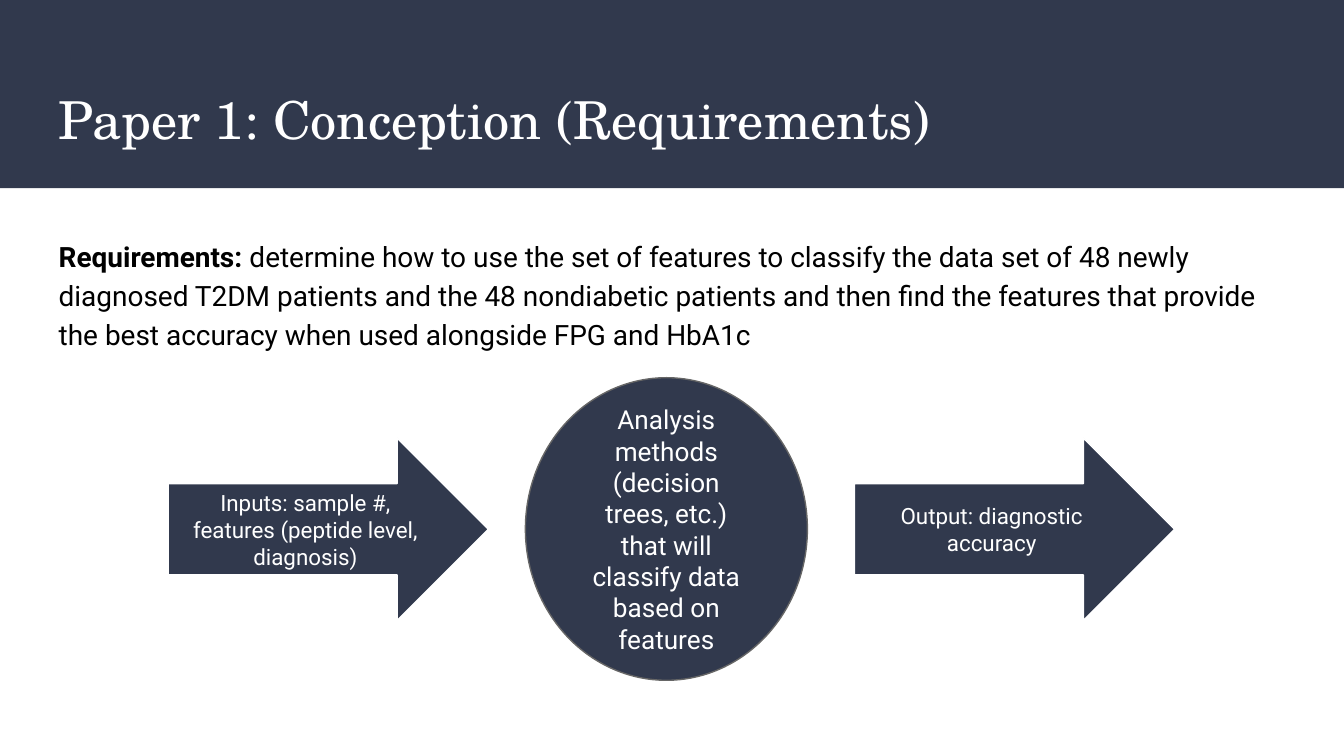
"""Build the slide on the requirements of paper 1."""
import pptx
import pptx.dml.color
import pptx.enum.shapes
import pptx.enum.text
import pptx.util

Cm = pptx.util.Cm
Pt = pptx.util.Pt
SHAPES = pptx.enum.shapes.MSO_SHAPE
ALIGN = pptx.enum.text.PP_ALIGN
ANCHOR = pptx.enum.text.MSO_ANCHOR

COLOURS = {"navy": "31394D", "white": "FFFFFF", "black": "000000", "grey": "666666"}
BODY_FONT = "Roboto"
TITLE_FONT = "TeX Gyre Schola"
MARGIN, CONTENT_WIDTH = 0.86, 23.67
ARROW_TOP, ARROW_WIDTH, ARROW_HEIGHT = 8.28, 6.05, 3.45


def colour(name):
    """Return the named colour of the palette."""
    return pptx.dml.color.RGBColor.from_string(COLOURS[name])


def write(frame, text, size=12, font=BODY_FONT, color="white", align=ALIGN.LEFT,
          anchor=ANCHOR.TOP, spacing=1.0, lead=""):
    """Fill a text frame with one paragraph that may open with a bold lead."""
    frame.word_wrap = True
    frame.auto_size = pptx.enum.text.MSO_AUTO_SIZE.NONE
    frame.vertical_anchor = anchor
    frame.margin_left = frame.margin_right = Cm(0.25)
    frame.margin_top = frame.margin_bottom = Cm(0.25)
    paragraph = frame.paragraphs[0]
    paragraph.alignment = align
    paragraph.line_spacing = spacing
    paragraph.space_before = Pt(0)
    for part, bold in ((lead, True), (text, False)):
        if part:
            run = paragraph.add_run()
            run.text = part
            run.font.name = font
            run.font.size = Pt(size)
            run.font.bold = bold
            run.font.color.rgb = colour(color)


class SlideBuilder:
    """Hold the current slide and draw its elements in one style."""

    def __init__(self, slide):
        """Keep the slide to draw on."""
        self.slide = slide

    def shape(self, kind, left, top, width, height, line=None):
        """Add a navy preset shape, outlined if a line colour is given."""
        shape = self.slide.shapes.add_shape(kind, Cm(left), Cm(top), Cm(width), Cm(height))
        shape.shadow.inherit = False
        shape.fill.solid()
        shape.fill.fore_color.rgb = colour("navy")
        if line:
            shape.line.color.rgb = colour(line)
            shape.line.width = Pt(0.75)
        else:
            shape.line.fill.background()
        return shape

    def title(self, text):
        """Place the title placeholder in front of its band."""
        self.shape(SHAPES.RECTANGLE, 0, 0, 25.4, 3.56)
        title = self.slide.shapes.title
        self.slide.shapes._spTree.append(title._element)
        title.left, title.top = Cm(MARGIN), Cm(1.4)
        title.width, title.height = Cm(CONTENT_WIDTH), Cm(1.73)
        write(title.text_frame, text, size=28, font=TITLE_FONT)

    def body(self, lead, text):
        """Add the introductory paragraph."""
        box = self.slide.shapes.add_textbox(Cm(MARGIN), Cm(4.19), Cm(CONTENT_WIDTH), Cm(2.97))
        write(box.text_frame, text, size=15, color="black", spacing=1.15, lead=lead)

    def arrow(self, left, text):
        """Add a labelled block arrow."""
        arrow = self.shape(SHAPES.RIGHT_ARROW, left, ARROW_TOP, ARROW_WIDTH, ARROW_HEIGHT, "white")
        write(arrow.text_frame, text, align=ALIGN.CENTER, anchor=ANCHOR.MIDDLE)

    def process(self, text):
        """Add the labelled ellipse between the arrows."""
        ellipse = self.shape(SHAPES.OVAL, 9.93, 7.14, 5.33, 5.72, "grey")
        write(ellipse.text_frame, text, size=14, align=ALIGN.CENTER, anchor=ANCHOR.MIDDLE)


def main():
    """Create the presentation and save it."""
    presentation = pptx.Presentation()
    presentation.slide_width, presentation.slide_height = Cm(25.4), Cm(14.29)
    builder = SlideBuilder(presentation.slides.add_slide(presentation.slide_layouts[5]))
    builder.title("Paper 1: Conception (Requirements)")
    builder.body(
        "Requirements:",
        " determine how to use the set of features to classify the data set of 48 newly "
        "diagnosed T2DM patients and the 48 nondiabetic patients and then find the features "
        "that provide the best accuracy when used alongside FPG and HbA1c",
    )
    builder.arrow(3.18, "Inputs: sample #, features (peptide level, diagnosis)")
    builder.process("Analysis methods (decision trees, etc.) that will classify data based on features")
    builder.arrow(16.15, "Output: diagnostic accuracy")
    presentation.save("out.pptx")


if __name__ == "__main__":
    main()
